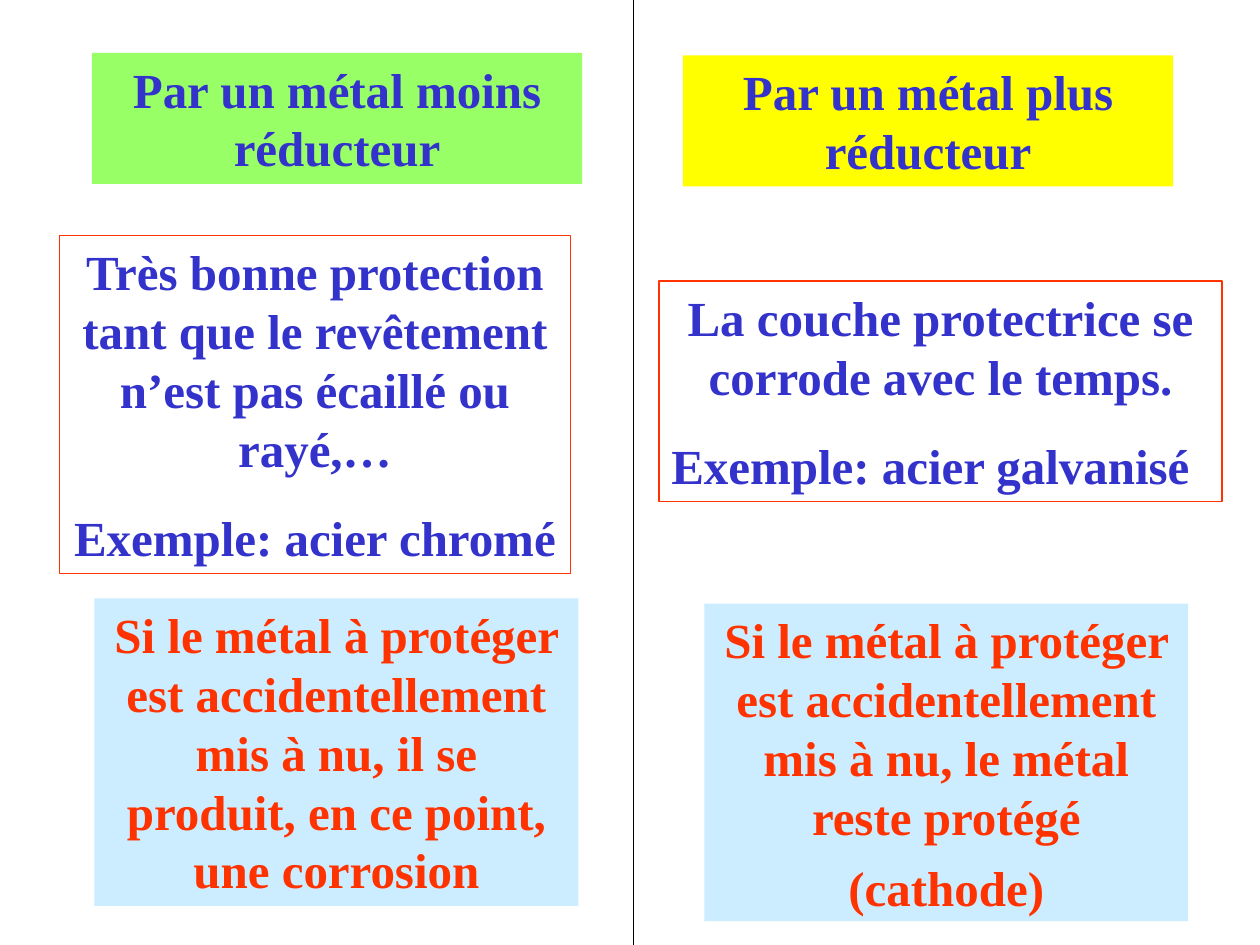
from dataclasses import dataclass
from typing import Optional

from pptx import Presentation
from pptx.dml.color import RGBColor
from pptx.enum.shapes import MSO_CONNECTOR
from pptx.enum.text import MSO_ANCHOR, MSO_AUTO_SIZE, PP_ALIGN
from pptx.oxml.ns import qn
from pptx.util import Inches, Pt
from lxml.etree import SubElement

COLOURS = {
    "blue": "3333CC",
    "red": "FF3300",
    "green": "99FF66",
    "yellow": "FFFF00",
    "sky": "CCECFF",
    "black": "000000",
}


@dataclass(frozen=True)
class Line:
    text: str
    align: PP_ALIGN = PP_ALIGN.CENTER
    spacing: Optional[float] = None


@dataclass(frozen=True)
class Panel:
    left: float
    top: float
    width: float
    height: float
    lines: tuple[Line, ...]
    ink: str = "blue"
    fill: Optional[str] = None
    border: Optional[str] = None


PANELS = (
    Panel(0.73, 0.42, 3.89, 1.04, (Line("Par un métal moins réducteur"),), fill="green"),
    Panel(5.42, 0.44, 3.89, 1.04, (Line("Par un métal plus réducteur"),), fill="yellow"),
    Panel(0.47, 1.87, 4.06, 2.68, (
        Line("Très bonne protection tant que le revêtement n’est pas écaillé ou rayé,…"),
        Line("Exemple: acier chromé"),
    ), border="red"),
    Panel(5.23, 2.23, 4.47, 1.75, (
        Line("La couche protectrice se corrode avec le temps."),
        Line("Exemple: acier galvanisé", PP_ALIGN.JUSTIFY),
    ), border="red"),
    Panel(0.75, 4.75, 3.84, 2.44, (
        Line("Si le métal à protéger est accidentellement mis à nu, "
             "il se produit, en ce point, une corrosion"),
    ), ink="red", fill="sky"),
    Panel(5.59, 4.79, 3.84, 2.52, (
        Line("Si le métal à protéger est accidentellement mis à nu, "
             "le métal reste protégé"),
        Line("(cathode)", spacing=0.65),
    ), ink="red", fill="sky"),
)


def colour(name: str) -> RGBColor:
    return RGBColor.from_string(COLOURS[name])


def draw_divider(page) -> None:
    divider = page.shapes.add_connector(
        MSO_CONNECTOR.STRAIGHT, Inches(5.03), Inches(0), Inches(5.03), Inches(7.5)
    )
    divider.line.color.rgb = colour("black")
    divider.line.width = Pt(0.75)
    SubElement(divider._element.spPr, qn("a:effectLst"))


def draw_panel(page, panel: Panel) -> None:
    box = page.shapes.add_textbox(
        Inches(panel.left), Inches(panel.top), Inches(panel.width), Inches(panel.height)
    )
    if panel.fill:
        box.fill.solid()
        box.fill.fore_color.rgb = colour(panel.fill)
    if panel.border:
        box.line.color.rgb = colour(panel.border)
        box.line.width = Pt(0.75)

    frame = box.text_frame
    frame.word_wrap = True
    frame.auto_size = MSO_AUTO_SIZE.SHAPE_TO_FIT_TEXT
    frame.vertical_anchor = MSO_ANCHOR.TOP
    for index, line in enumerate(panel.lines):
        para = frame.add_paragraph() if index else frame.paragraphs[0]
        para.alignment = line.align
        if index:
            para.space_before = Pt(17.5)
        if line.spacing:
            para.line_spacing = line.spacing
        span = para.add_run()
        span.text = line.text
        span.font.name = "Times New Roman"
        span.font.size = Pt(28)
        span.font.bold = True
        span.font.color.rgb = colour(panel.ink)


def main() -> None:
    deck = Presentation()
    deck.slide_width = Inches(10)
    deck.slide_height = Inches(7.5)
    page = deck.slides.add_slide(deck.slide_layouts[6])
    draw_divider(page)
    for panel in PANELS:
        draw_panel(page, panel)
    deck.save("out.pptx")


if __name__ == "__main__":
    main()
